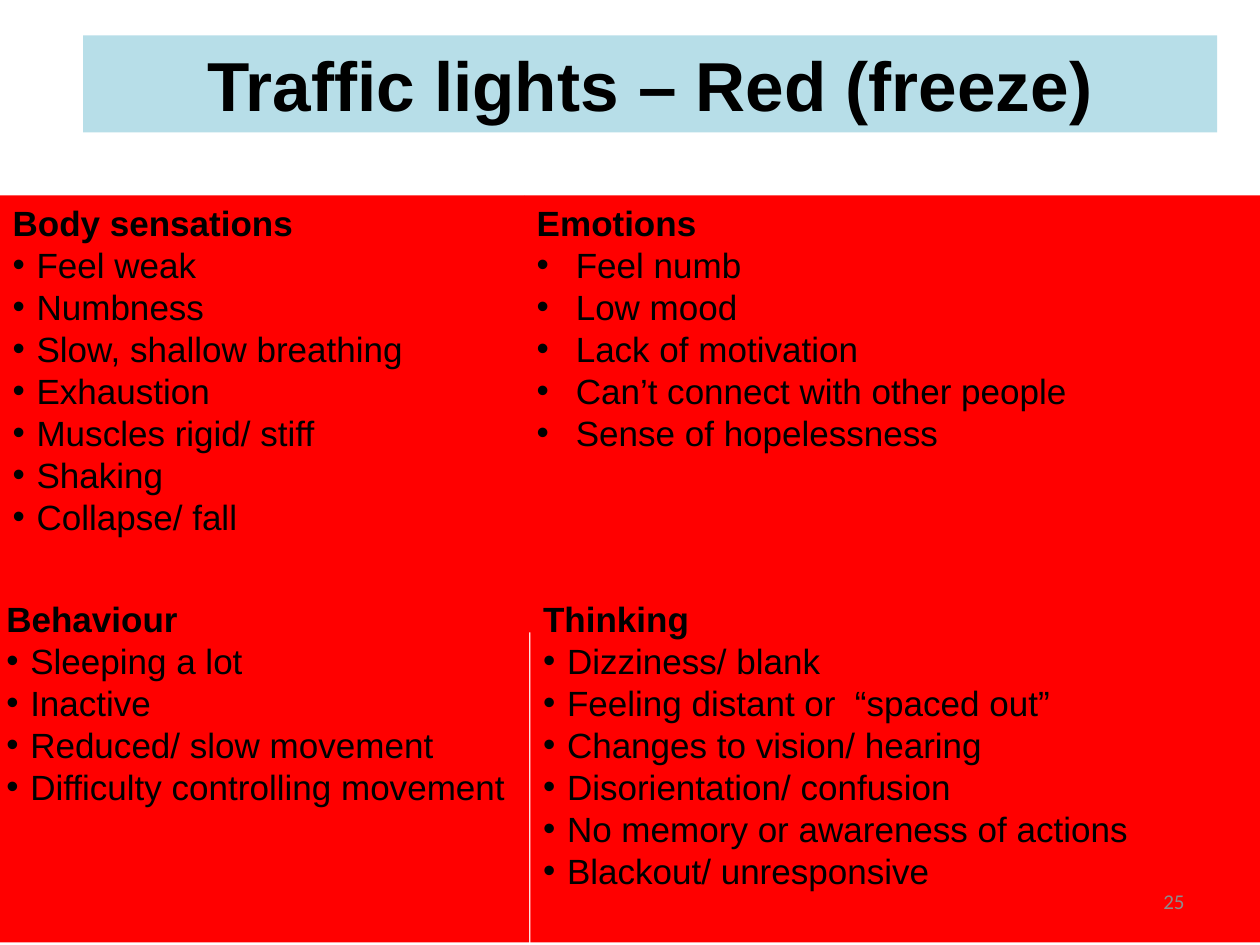
from dataclasses import dataclass

from lxml.etree import SubElement
from pptx import Presentation
from pptx.dml.color import RGBColor
from pptx.enum.text import MSO_ANCHOR as Anchor, MSO_AUTO_SIZE as AutoSize, PP_ALIGN as Align
from pptx.oxml.ns import qn
from pptx.util import Pt

PX = 9144  # EMU per px, 100 px to the inch
COMPARISON_LAYOUT = 4


@dataclass(frozen=True)
class Theme:
    black: str = "000000"
    grey: str = "8C8C8C"
    red: str = "FF0000"
    light_blue: str = "B7DEE8"
    font: str = "Arial"
    number_font: str = "Calibri"
    title_size: float = 39.6
    body_size: int = 20
    number_size: int = 12


class SlideBuilder:
    def __init__(self, slide, theme):
        self.slide = slide
        self.theme = theme

    def place(self, shape, box, fill=None, anchor=Anchor.TOP):
        shape.left, shape.top, shape.width, shape.height = (value * PX for value in box)
        if fill:
            shape.fill.solid()
            shape.fill.fore_color.rgb = RGBColor.from_string(fill)
        frame = shape.text_frame
        frame.word_wrap = True
        frame.auto_size = AutoSize.NONE
        frame.vertical_anchor = anchor
        return frame

    def style(self, paragraph, size, align=Align.LEFT, bold=False, color=None, font=None):
        paragraph.alignment = align
        paragraph.line_spacing = 1.0
        paragraph.space_before = paragraph.space_after = Pt(0)
        for run in paragraph.runs:
            run.font.size = Pt(size)
            run.font.bold = bold
            run.font.name = font or self.theme.font
            run.font.color.rgb = RGBColor.from_string(color or self.theme.black)

    def bullet(self, paragraph, indent):
        properties = paragraph._p.get_or_add_pPr()
        properties.set("marL", str(indent * PX))
        properties.set("indent", str(-indent * PX))
        if indent:
            SubElement(properties, qn("a:buChar"), char="•")
        else:
            SubElement(properties, qn("a:buNone"))

    def title(self, text, box):
        frame = self.place(self.slide.shapes.title, box, self.theme.light_blue, Anchor.MIDDLE)
        frame.text = text
        self.style(frame.paragraphs[0], self.theme.title_size, Align.CENTER, bold=True)

    def panel(self, index, box, heading, items, indent):
        frame = self.place(self.slide.placeholders[index], box, self.theme.red)
        frame.text = "\n".join([heading, *items])
        for number, paragraph in enumerate(frame.paragraphs):
            self.bullet(paragraph, indent if number else 0)
            self.style(paragraph, self.theme.body_size, bold=number == 0)

    def slide_number(self, text, box):
        shape = self.slide.shapes.add_textbox(0, 0, PX, PX)
        frame = self.place(shape, box, anchor=Anchor.MIDDLE)
        frame.text = text
        self.style(frame.paragraphs[0], self.theme.number_size, Align.RIGHT,
                   color=self.theme.grey, font=self.theme.number_font)


# Placeholder index, box, heading, items, bullet indent
PANELS = [
    (1, (0, 155, 416, 347), "Body sensations",
     ["Feel weak", "Numbness", "Slow, shallow breathing", "Exhaustion",
      "Muscles rigid/ stiff", "Shaking", "Collapse/ fall"], 19),
    (2, (416, 155, 584, 347), "Emotions",
     ["Feel numb", "Low mood", "Lack of motivation",
      "Can’t connect with other people", "Sense of hopelessness"], 31),
    (3, (-5, 469, 425, 279), "Behaviour",
     ["Sleeping a lot", "Inactive", "Reduced/ slow movement",
      "Difficulty controlling movement"], 19),
    (4, (421, 469, 579, 279), "Thinking",
     ["Dizziness/ blank", "Feeling distant or  “spaced out”",
      "Changes to vision/ hearing", "Disorientation/ confusion",
      "No memory or awareness of actions", "Blackout/ unresponsive"], 19),
]


def main():
    presentation = Presentation()
    presentation.slide_width, presentation.slide_height = 1000 * PX, 750 * PX
    layout = presentation.slide_layouts[COMPARISON_LAYOUT]
    builder = SlideBuilder(presentation.slides.add_slide(layout), Theme())

    # Title band
    builder.title("Traffic lights – Red (freeze)", (66, 28, 900, 77))

    # Four red panels
    for panel in PANELS:
        builder.panel(*panel)

    # Slide number
    builder.slide_number("25", (717, 695, 233, 40))

    presentation.save("out.pptx")


if __name__ == "__main__":
    main()
